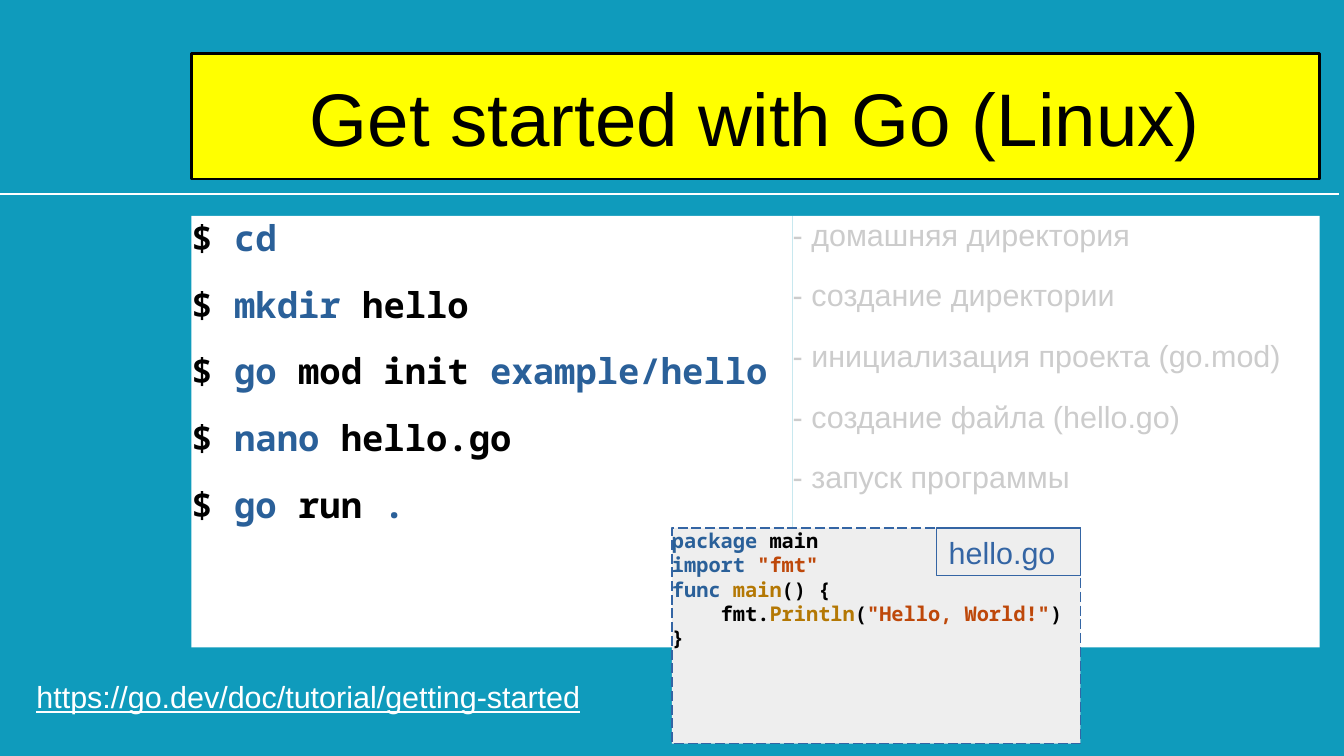
from lxml import etree
from pptx import Presentation
from pptx import util as u
from pptx.dml.color import RGBColor
from pptx.enum import dml, shapes, text
from pptx.oxml.ns import qn

COLORS = {
    "background": "0F9BBC", "title": "FFFF00", "panel": "FFFFFF",
    "plain": "000000", "keyword": "2A6099", "string": "BE480A",
    "function": "B47804", "note": "CCCCCC", "code": "EEEEEE",
    "border": "3465A4", "white": "FFFFFF",
}
SANS, MONO = "Arial", "Noto Sans Mono"

HEADING = "Get started with Go (Linux)"
COMMANDS = [
    [("$ ", "plain"), ("cd", "keyword")],
    [("$ ", "plain"), ("mkdir", "keyword"), (" hello", "plain")],
    [("$ ", "plain"), ("go", "keyword"), (" mod init ", "plain"), ("example/hello", "keyword")],
    [("$ ", "plain"), ("nano", "keyword"), (" hello.go", "plain")],
    [("$", "plain"), (" go ", "keyword"), ("run", "plain"), (" .", "keyword")],
]
NOTES = [
    "- домашняя директория",
    "- создание директории",
    "- инициализация проекта (go.mod)",
    "- создание файла (hello.go)",
    "- запуск программы",
]
LISTING = [
    [("package", "keyword"), (" main", "plain")],
    [("import ", "keyword"), ('"fmt"', "string")],
    [("func ", "keyword"), ("main", "function"), ("() {", "plain")],
    [("    fmt.", "plain"), ("Println", "function"), ("(", "plain"),
     ('"Hello, World!"', "string"), (")", "plain")],
    [("}", "plain")],
]
FILE_NAME = "hello.go"
ADDRESS = "https://go.dev/doc/tutorial/getting-started"

LEFT, RIGHT, MIDDLE = 1.57, 10.82, 6.5
PANEL_TOP, PANEL_HEIGHT = 1.77, 3.54
CODE_LEFT, CODE_TOP, CODE_WIDTH, CODE_HEIGHT = 5.51, 4.33, 3.35, 1.77
TAG_WIDTH, TAG_HEIGHT = 1.18, 0.39
RULE_Y, RULE_END = 1.59, 10.98


def color(name):
    return RGBColor.from_string(COLORS[name])


def place(left, top, width, height):
    return [u.Inches(v) for v in (left, top, width, height)]


def paint(box, fill=None, line=None, width=0):
    if fill:
        box.fill.solid()
        box.fill.fore_color.rgb = color(fill)
    else:
        box.fill.background()
    if line:
        box.line.color.rgb = color(line)
        box.line.width = u.Pt(width)
    else:
        box.line.fill.background()


def write(box, lines, font, size, bold=False, gap=0, inset=(0, 0),
          align=text.PP_ALIGN.LEFT, anchor=text.MSO_ANCHOR.TOP):
    frame = box.text_frame
    frame.word_wrap = True
    frame.auto_size = text.MSO_AUTO_SIZE.NONE
    frame.vertical_anchor = anchor
    frame.margin_left = frame.margin_right = u.Inches(inset[0])
    frame.margin_top = frame.margin_bottom = u.Inches(inset[1])
    for index, pieces in enumerate(lines):
        paragraph = frame.add_paragraph() if index else frame.paragraphs[0]
        paragraph.alignment = align
        paragraph.space_before = u.Pt(gap if index else 0)
        for words, tint in pieces:
            run = paragraph.add_run()
            run.text = words
            run.font.name = font
            run.font.size = u.Pt(size)
            run.font.bold = bold
            run.font.color.rgb = color(tint)


def add_panel(slide, bounds, fill=None, line=None):
    panel = slide.shapes.add_shape(shapes.MSO_SHAPE.RECTANGLE, *place(*bounds))
    panel.shadow.inherit = False
    paint(panel, fill, line)
    return panel


def main():
    deck = Presentation()
    deck.slide_width, deck.slide_height = u.Inches(11.02), u.Inches(6.2)
    slide = deck.slides.add_slide(deck.slide_layouts[5])
    slide.background.fill.solid()
    slide.background.fill.fore_color.rgb = color("background")

    rule = slide.shapes.add_connector(
        shapes.MSO_CONNECTOR.STRAIGHT, *place(0, RULE_Y, RULE_END, RULE_Y))
    rule.line.color.rgb = color("white")
    rule.line.width = u.Pt(1.5)
    etree.SubElement(rule._element.spPr, qn("a:effectLst"))

    heading = slide.shapes.title
    heading.left, heading.top, heading.width, heading.height = place(LEFT, 0.44, RIGHT - LEFT, 1.03)
    paint(heading, "title", "plain", 1.5)
    write(heading, [[(HEADING, "plain")]], SANS, 44,
          align=text.PP_ALIGN.CENTER, anchor=text.MSO_ANCHOR.MIDDLE)

    commands = add_panel(slide, (LEFT, PANEL_TOP, MIDDLE - LEFT, PANEL_HEIGHT), "panel")
    write(commands, COMMANDS, MONO, 21, bold=True, gap=14.2)

    notes = add_panel(slide, (MIDDLE, PANEL_TOP, RIGHT - MIDDLE, PANEL_HEIGHT), "panel")
    write(notes, [[(note, "note")] for note in NOTES], SANS, 18, gap=14.2)

    address = slide.shapes.add_textbox(*place(0.2, 5.51, 5.12, 0.66))
    write(address, [[(ADDRESS, "white")]], SANS, 18, inset=(0.1, 0.05))
    address.text_frame.paragraphs[0].runs[0].font.underline = True

    listing = add_panel(slide, (CODE_LEFT, CODE_TOP, CODE_WIDTH, CODE_HEIGHT), "code", "border")
    listing.line.dash_style = dml.MSO_LINE.LONG_DASH
    write(listing, LISTING, MONO, 12, bold=True)

    tag_left = CODE_LEFT + CODE_WIDTH - TAG_WIDTH
    tag = add_panel(slide, (tag_left, CODE_TOP, TAG_WIDTH, TAG_HEIGHT), line="border")
    write(tag, [[(FILE_NAME, "border")]], SANS, 18, inset=(0.1, 0.05))

    deck.save("out.pptx")


if __name__ == "__main__":
    main()
